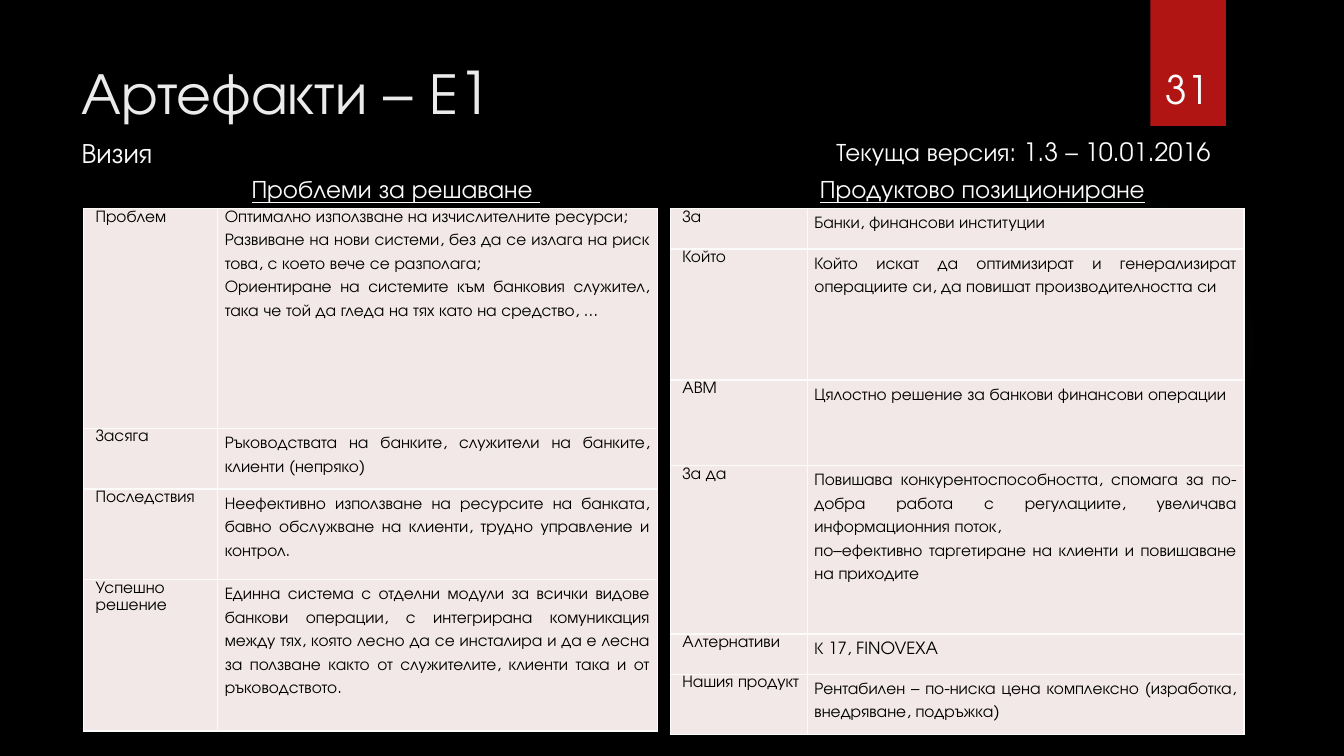
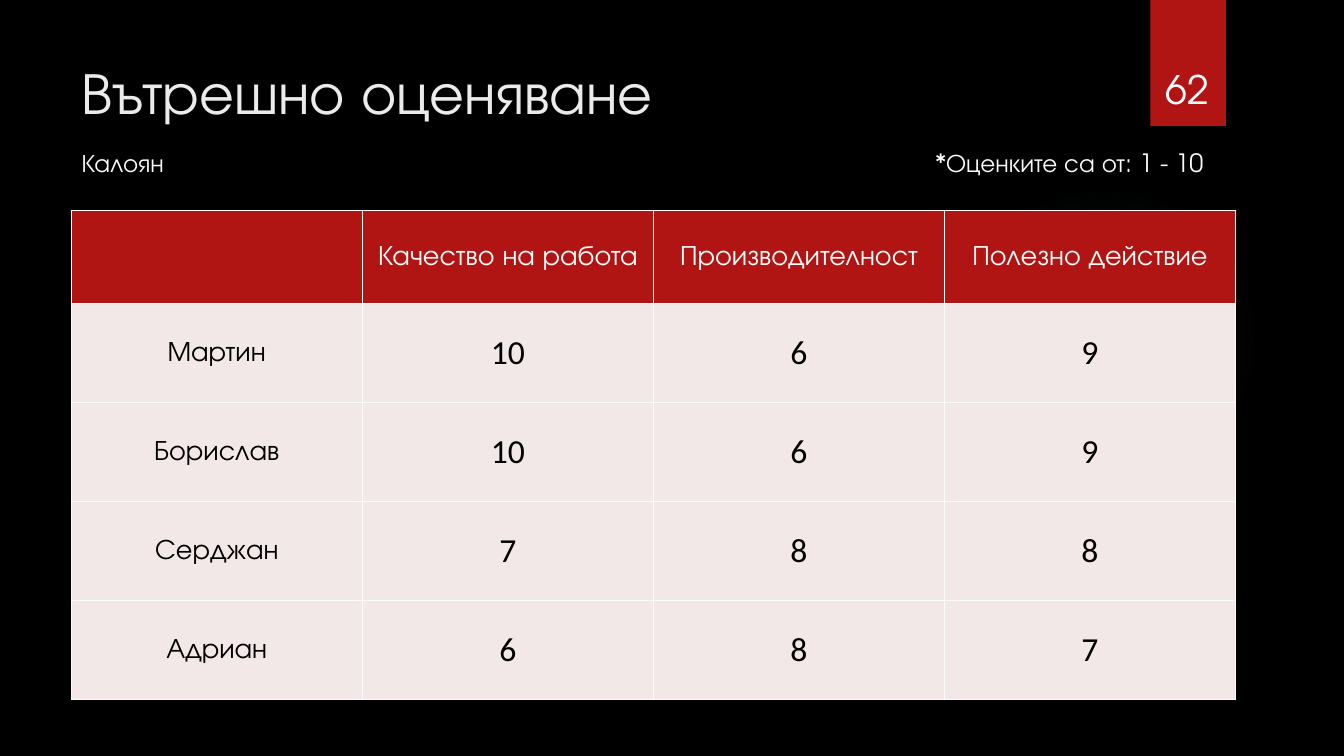
import pptx
import pptx.util
import pptx.dml.color
import pptx.enum.shapes
import pptx.enum.text
import pptx.oxml
import pptx.oxml.ns

Pt, Inches = pptx.util.Pt, pptx.util.Inches
rgb = pptx.dml.color.RGBColor.from_string
ALIGN, ANCHOR = pptx.enum.text.PP_ALIGN, pptx.enum.text.MSO_ANCHOR
SHAPE = pptx.enum.shapes.MSO_SHAPE

FONT = "TeX Gyre Adventor"
BLACK, RED, PALE = "000000", "B01513", "F2E8E7"
WHITE, TITLE_GREY, GLOW = "FBFBFB", "EBEBEB", "50B9C1"
XMLNS = pptx.oxml.ns.nsdecls("a")

deck = pptx.Presentation()
deck.slide_width, deck.slide_height = Inches(13.33), Inches(7.5)
column, row = deck.slide_width / 100, deck.slide_height / 100


def grid(left, top, width, height):
    """Turn hundredths of the slide's width and height into lengths."""
    return int(left * column), int(top * row), int(width * column), int(height * row)


def write(frame, text, size=18, color=WHITE, font=FONT, align=ALIGN.LEFT,
          underline=None, spacing=None, after=0, first=True):
    paragraph = frame.paragraphs[0] if first else frame.add_paragraph()
    paragraph.alignment = align
    paragraph.line_spacing = spacing
    paragraph.space_before, paragraph.space_after = Pt(0), Pt(after)
    run = paragraph.add_run()
    run.text = text
    run.font.size, run.font.name, run.font.underline = Pt(size), font, underline
    run.font.color.rgb = rgb(color)


# Content
MARGIN = 5.33
pages = [
    ("Артефакти – Е1", "31", [
        ("Визия", 20, (MARGIN, 17.33, 7.4, 5.8)),
        ("Текуща версия: 1.3 – 10.01.2016", 18, (61.5, 17.33, 31, 5.33))]),
    ("Вътрешно оценяване", "62", [
        ("Калоян", 18, (MARGIN, 18.8, 9, 5.33)),
        ("*Оценките са от: 1 - 10", 18, (68.85, 18.8, 23, 5.33))]),
]

problems = [
    (29.07, "Проблем", [
        "Оптимално използване на изчислителните ресурси;",
        "Развиване на нови системи, без да се излага на риск това, с което вече се разполага;",
        "Ориентиране на системите към банковия служител, така че той да гледа на тях "
        "като на средство, …"]),
    (7.73, "Засяга", ["Ръководствата на банките, служители на банките, клиенти (непряко)"]),
    (11.87, "Последствия", [
        "Неефективно използване на ресурсите на банката, бавно обслужване на клиенти, "
        "трудно управление и контрол."]),
    (20, "Успешно решение", [
        "Единна система с отделни модули за всички видове банкови операции, с интегрирана "
        "комуникация между тях, която лесно да се инсталира и да е лесна за ползване както "
        "от служителите, клиенти така и от ръководството."]),
]
positioning = [
    (5.33, "За", ["Банки, финансови институции"]),
    (17.33, "Който", [
        "Който искат да оптимизират и генерализират операциите си, да повишат "
        "производителността си"]),
    (11.33, "АВМ", ["Цялостно решение за банкови финансови операции"]),
    (22.27, "За да", [
        "Повишава конкурентоспособността, спомага за по-добра работа с регулациите, "
        "увеличава информационния поток,",
        "по–ефективно таргетиране на клиенти и повишаване на приходите"]),
    (5.33, "Алтернативи", ["К 17, FINOVEXA"]),
    (5.33, "Нашия продукт", [
        "Рентабилен – по-ниска цена комплексно (изработка, внедряване, подръжка)"]),
]
grades = [
    ("", "Качество на работа", "Производителност", "Полезно действие"),
    ("Мартин", "10", "6", "9"),
    ("Борислав", "10", "6", "9"),
    ("Серджан", "7", "8", "8"),
    ("Адриан", "6", "8", "7"),
]

# Shared look: black background, faint glow, red number band, title, captions
background = deck.slide_master.background.fill
background.solid()
background.fore_color.rgb = rgb(BLACK)
glow_stops = "".join(
    f'<a:gs pos="{place}000"><a:srgbClr val="{GLOW}"><a:alpha val="{alpha}000"/></a:srgbClr></a:gs>'
    for place, alpha in ((0, 7), (36, 6), (69, 0)))
glow_fill = (f'<a:gradFill {XMLNS}><a:gsLst>{glow_stops}</a:gsLst><a:path path="circle">'
             '<a:fillToRect l="50000" t="50000" r="50000" b="50000"/></a:path></a:gradFill>')

for heading, number, captions in pages:
    slide = deck.slides.add_slide(deck.slide_layouts[5])
    title = slide.shapes.title

    glow = slide.shapes.add_shape(SHAPE.OVAL, *grid(70.6, 24.4, 23.1, 41.07))
    glow.fill.background()
    properties = glow.element.spPr
    properties.replace(properties.find(pptx.oxml.ns.qn("a:noFill")),
                       pptx.oxml.parse_xml(glow_fill))
    band = slide.shapes.add_shape(SHAPE.RECTANGLE, *grid(85.6, 0, 5.62, 16.67))
    band.fill.solid()
    band.fill.fore_color.rgb = rgb(RED)
    for decoration in (glow, band):
        decoration.line.fill.background()
        decoration.shadow.inherit = False

    title.left, title.top, title.width, title.height = grid(MARGIN, 6.67, 77.2, 20.4)
    title.text_frame.vertical_anchor = ANCHOR.TOP
    title.text_frame.word_wrap = True
    write(title.text_frame, heading, size=42, color=TITLE_GREY)

    page_number = slide.shapes.add_textbox(*grid(84.9, 4.27, 6.9, 11.2)).text_frame
    page_number.word_wrap = True
    page_number.vertical_anchor = ANCHOR.BOTTOM
    write(page_number, number, size=28, color="FCFCFC", align=ALIGN.CENTER)

    for text, size, box in captions:
        caption = slide.shapes.add_textbox(*grid(*box)).text_frame
        caption.word_wrap = True
        write(caption, text, size=size)

artefacts, assessment = deck.slides
tables = []

# Vision: two tables of labels and explanations, each under a heading
for heading, left, label_width, entries in (
        ("Проблеми за решаване ", 6.22, 9.98, problems),
        ("Продуктово позициониране", 49.88, 10.2, positioning)):
    width = 42.68
    caption = artefacts.shapes.add_textbox(*grid(left, 22.27, width, 5.33)).text_frame
    caption.word_wrap = True
    caption.margin_left = Inches(0.6)
    write(caption, heading, align=ALIGN.CENTER, underline=True)

    height = sum(entry[0] for entry in entries)
    vision = artefacts.shapes.add_table(
        len(entries), 2, *grid(left, 27.6, width, height)).table
    tables.append(vision)
    vision.columns[0].width = int(label_width * column)
    vision.columns[1].width = int((width - label_width) * column)
    for index, (share, label, explanations) in enumerate(entries):
        vision.rows[index].height = int(share * row)
        label_cell, text_cell = vision.rows[index].cells
        for cell, inset in ((label_cell, 0.12), (text_cell, 0.07)):
            cell.margin_left, cell.margin_right = Inches(inset), Inches(0.07)
            cell.margin_top = cell.margin_bottom = 0
        write(label_cell.text_frame, label, size=12, color=BLACK, spacing=Pt(12), after=6)
        for order, explanation in enumerate(explanations):
            tight = label == "Проблем" and order == 0
            write(text_cell.text_frame, explanation, size=12, color=BLACK, first=order == 0,
                  align=ALIGN.LEFT if tight else ALIGN.JUSTIFY,
                  spacing=Pt(12) if tight else 1.5)

# Grades: names down, criteria across
header_share, name_share = 12.27, 13.1
marks = assessment.shapes.add_table(
    len(grades), len(grades[0]),
    *grid(5.3, 27.87, 86.64, header_share + 4 * name_share)).table
tables.append(marks)
for r, values in enumerate(grades):
    marks.rows[r].height = int((name_share if r else header_share) * row)
    for c, value in enumerate(values):
        cell = marks.cell(r, c)
        cell.vertical_anchor = ANCHOR.MIDDLE
        cell.margin_left = cell.margin_right = cell.margin_top = Inches(0.01)
        cell.margin_bottom = 0
        is_grade = r > 0 and c > 0
        if value:
            write(cell.text_frame, value, size=24 if is_grade else 20,
                  font="Calibri" if is_grade else FONT,
                  color=BLACK if r else WHITE, align=ALIGN.CENTER)

# Fills and thin white borders of all tables
for table in tables:
    table.first_row = table is marks
    table.horz_banding = False
    for r, table_row in enumerate(table.rows):
        for cell in table_row.cells:
            cell.fill.solid()
            cell.fill.fore_color.rgb = rgb(RED if table is marks and r == 0 else PALE)
            for order, side in enumerate("LRTB"):
                cell._tc.get_or_add_tcPr().insert(order, pptx.oxml.parse_xml(
                    f'<a:ln{side} {XMLNS} w="12700"><a:solidFill>'
                    f'<a:srgbClr val="{WHITE}"/></a:solidFill></a:ln{side}>'))

deck.save("out.pptx")
